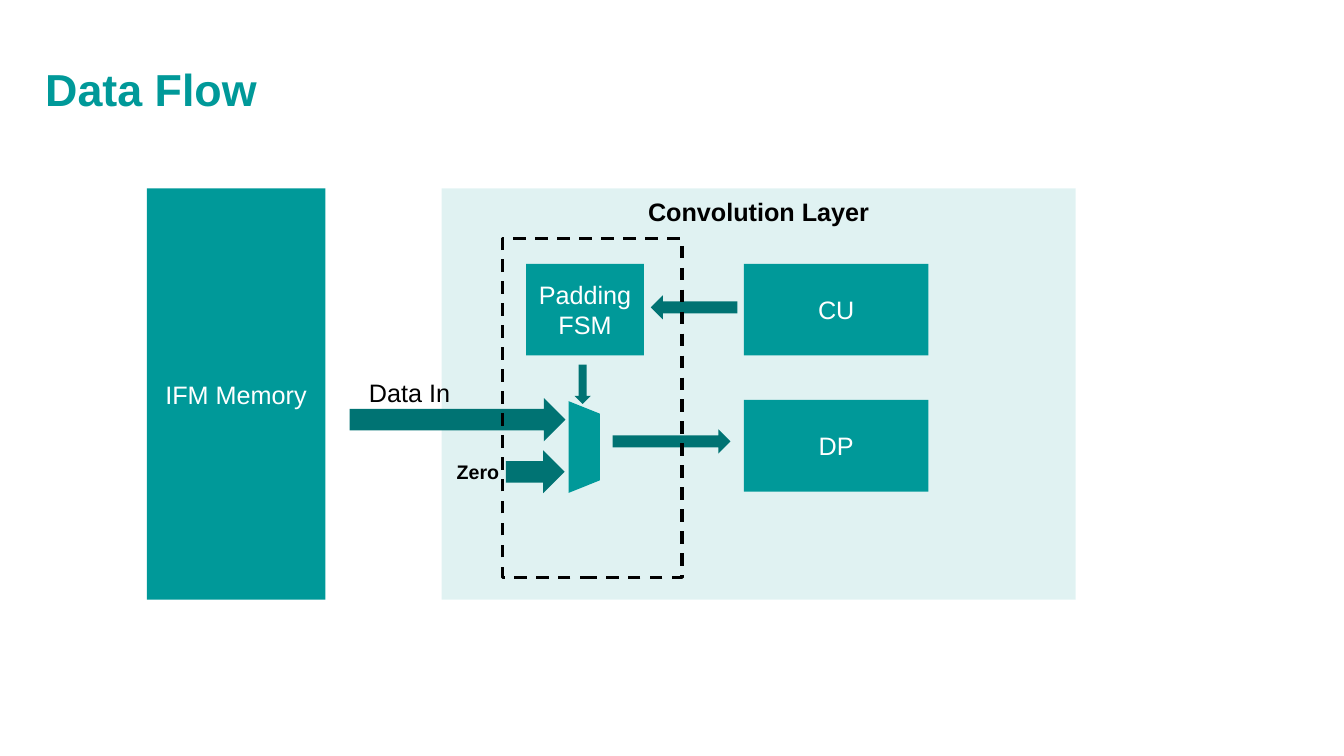
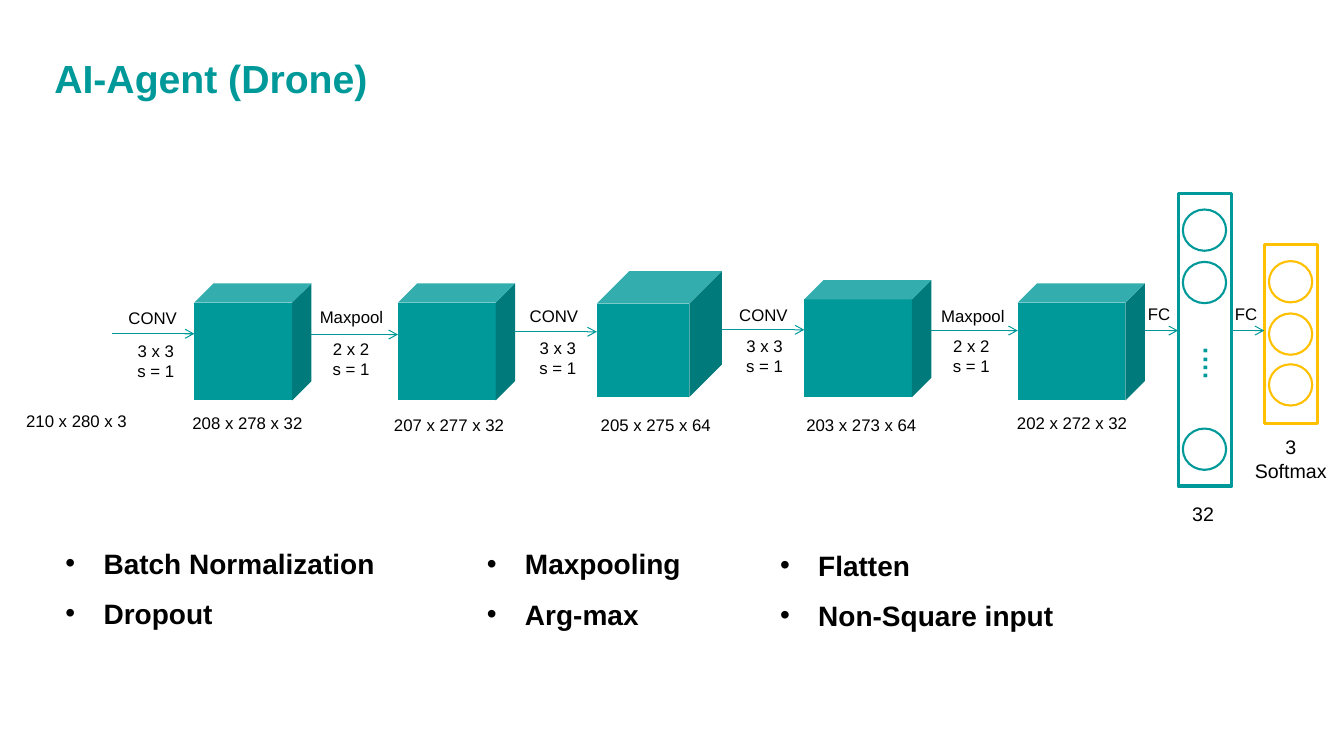
import lxml.etree
import pptx
import pptx.dml.color
import pptx.enum.dml
import pptx.enum.shapes
import pptx.enum.text
import pptx.oxml.ns
import pptx.util
from pptx.util import Cm

SHAPE = pptx.enum.shapes.MSO_SHAPE
ALIGN = pptx.enum.text.PP_ALIGN
ANCHOR = pptx.enum.text.MSO_ANCHOR


def color(value):
    return pptx.dml.color.RGBColor.from_string(value)


def add_element(parent, tag, **attributes):
    element = lxml.etree.SubElement(parent, pptx.oxml.ns.qn(tag))
    for name, value in attributes.items():
        element.set(name, str(value))
    return element


class Deck:
    """Holds the shared style and draws elements on the current slide."""

    font_name = "Arial"
    teal, dark_teal, amber = "009999", "007373", "FFC000"
    black, white = "000000", "FFFFFF"

    def __init__(self):
        self.presentation = pptx.Presentation()
        self.presentation.slide_width = Cm(33.87)
        self.presentation.slide_height = Cm(19.05)
        self.slide = None

    def new_slide(self, title, left, top, size):
        self.slide = self.presentation.slides.add_slide(self.presentation.slide_layouts[6])
        self.text(title, left, top, 27.4, 1.6, size, self.teal, bold=True,
                  align=ALIGN.LEFT, anchor=ANCHOR.BOTTOM, spacing=0.9)

    def set_text(self, shape, text, size, font_color, bold=False, align=ALIGN.CENTER,
                 anchor=ANCHOR.TOP, margins=(0, 0), spacing=None, bullet=False):
        frame = shape.text_frame
        frame.word_wrap = True
        frame.vertical_anchor = anchor
        frame.margin_left = frame.margin_right = Cm(margins[0])
        frame.margin_top = frame.margin_bottom = Cm(margins[1])
        for index, line in enumerate(text.split("\n")):
            paragraph = frame.add_paragraph() if index else frame.paragraphs[0]
            paragraph.text = line
            paragraph.alignment = align
            if spacing:
                paragraph.line_spacing = spacing
            if bullet:
                properties = paragraph._p.get_or_add_pPr()
                properties.set("marL", str(Cm(0.96)))
                properties.set("indent", str(-Cm(0.96)))
                add_element(properties, "a:buFont", typeface=self.font_name)
                add_element(properties, "a:buChar", char="•")
            paragraph.font.name = self.font_name
            paragraph.font.size = pptx.util.Pt(size)
            paragraph.font.bold = bold
            paragraph.font.color.rgb = color(font_color)

    def text(self, text, left, top, width, height, size=12, font_color=black,
             rotation=0, **style):
        box = self.slide.shapes.add_textbox(Cm(left), Cm(top), Cm(width), Cm(height))
        box.rotation = rotation
        self.set_text(box, text, size, font_color, **style)

    def shape(self, kind, left, top, width, height, fill=None, line=None, line_width=2.25,
              rotation=0, adjustment=None, opacity=None, dashed=False):
        shape = self.slide.shapes.add_shape(kind, Cm(left), Cm(top), Cm(width), Cm(height))
        shape.shadow.inherit = False
        shape.rotation = rotation
        if adjustment is not None:
            shape.adjustments[0] = adjustment
        if fill:
            shape.fill.solid()
            shape.fill.fore_color.rgb = color(fill)
        else:
            shape.fill.background()
        if opacity is not None:
            fill_color = shape._element.spPr.find(".//" + pptx.oxml.ns.qn("a:srgbClr"))
            add_element(fill_color, "a:alpha", val=opacity * 1000)
        if line:
            shape.line.color.rgb = color(line)
            shape.line.width = pptx.util.Pt(line_width)
        else:
            shape.line.fill.background()
        if dashed:
            shape.line.dash_style = pptx.enum.dml.MSO_LINE.DASH
        return shape

    def block(self, text, left, top, width, height):
        shape = self.shape(SHAPE.RECTANGLE, left, top, width, height, self.teal)
        self.set_text(shape, text, 18, self.white, anchor=ANCHOR.MIDDLE, margins=(0.3, 0.2))

    def arrow(self, start, end, y):
        connector = self.slide.shapes.add_connector(
            pptx.enum.shapes.MSO_CONNECTOR.STRAIGHT, Cm(start), Cm(y), Cm(end), Cm(y))
        connector.line.color.rgb = color(self.teal)
        connector.line.width = pptx.util.Pt(0.75)
        add_element(connector.line._get_or_add_ln(), "a:tailEnd", type="arrow")
        add_element(connector._element.spPr, "a:effectLst")

    def neurons(self, left, top, height, line, circle_tops):
        self.shape(SHAPE.RECTANGLE, left, top, 1.35, height, line=line)
        for circle_top in circle_tops:
            self.shape(SHAPE.OVAL, left + 0.12, circle_top, 1.09, 1.04, line=line, line_width=1.5)

    def bullets(self, text, left, top, width):
        self.text(text, left, top, width, 2.6, 20, bold=True, align=ALIGN.LEFT,
                  anchor=ANCHOR.BOTTOM, spacing=1.5, bullet=True)


def draw_data_flow(deck):
    deck.new_slide("Data Flow", 1.14, 1.32, 32)
    deck.block("IFM Memory", 3.7, 4.75, 4.5, 10.36)
    layer = deck.shape(SHAPE.RECTANGLE, 11.13, 4.75, 15.98, 10.36, deck.teal, opacity=12)
    deck.set_text(layer, "Convolution Layer", 18, deck.black, bold=True, margins=(0.3, 0.2))
    deck.block("Padding\nFSM", 13.26, 6.65, 2.97, 2.31)
    deck.block("CU", 18.75, 6.65, 4.65, 2.31)
    deck.block("DP", 18.75, 10.08, 4.65, 2.31)
    deck.shape(SHAPE.TRAPEZOID, 13.57, 10.87, 2.31, 0.79, deck.teal, rotation=90, adjustment=0.4)
    for kind, left, top, width, height, rotation in (
            (SHAPE.RIGHT_ARROW, 8.81, 10.03, 5.44, 1.09, 0),
            (SHAPE.RIGHT_ARROW, 12.75, 11.35, 1.48, 1.08, 0),
            (SHAPE.DOWN_ARROW, 14.48, 9.19, 0.41, 0.99, 0),
            (SHAPE.RIGHT_ARROW, 15.44, 10.82, 2.97, 0.61, 0),
            (SHAPE.RIGHT_ARROW, 16.4, 7.44, 2.18, 0.61, 180)):
        deck.shape(kind, left, top, width, height, deck.dark_teal, rotation=rotation)
    deck.text("Data In", 9.3, 9.5, 2.2, 0.76, 18, align=ALIGN.LEFT)
    deck.text("Zero", 11.51, 11.58, 1.47, 0.61, 14, bold=True, align=ALIGN.LEFT)
    deck.shape(SHAPE.RECTANGLE, 12.67, 6.02, 4.52, 8.53, line=deck.black, dashed=True)


def draw_network(deck):
    deck.new_slide("AI-Agent (Drone)", 1.37, 0.97, 28)
    conv_kernel, pool_kernel = "3 x 3\ns = 1", "2 x 2\ns = 1"
    stages = (
        ("CONV", 2.72, 7.75, conv_kernel, 2.95, 8.59, 8.41,
         4.9, 7.14, 2.95, 2.95, 0.165, "208 x 278 x 32", 4.85, 10.39),
        ("Maxpool", 7.73, 7.72, pool_kernel, 7.87, 8.53, 8.43,
         10.03, 7.14, 2.95, 2.95, 0.165, "207 x 277 x 32", 9.93, 10.46),
        ("CONV", 12.83, 7.7, conv_kernel, 13.08, 8.51, 8.36,
         15.04, 6.83, 3.15, 3.18, 0.26, "205 x 275 x 64", 15.14, 10.46),
        ("CONV", 18.11, 7.67, conv_kernel, 18.29, 8.46, 8.31,
         20.27, 7.06, 3.2, 2.95, 0.165, "203 x 273 x 64", 20.32, 10.44),
        ("Maxpool", 23.39, 7.7, pool_kernel, 23.5, 8.46, 8.33,
         25.65, 7.14, 3.2, 2.95, 0.165, "202 x 272 x 32", 25.63, 10.41))
    deck.text("210 x 280 x 3", 0.66, 10.36, 3.18, 0.51, align=ALIGN.LEFT)
    arrow_start = 2.82
    for (operation, operation_left, operation_top, kernel, kernel_left, kernel_top, arrow_y,
         left, top, width, height, depth, size_label, label_left, label_top) in stages:
        deck.text(operation, operation_left, operation_top, 2.26, 0.51)
        deck.text(kernel, kernel_left, kernel_top, 1.96, 1.02)
        deck.shape(SHAPE.CUBE, left, top, width, height, deck.teal, adjustment=depth)
        deck.text(size_label, label_left, label_top, 3.18, 0.51, align=ALIGN.LEFT)
        deck.arrow(arrow_start, left, arrow_y)
        arrow_start = left + width

    deck.neurons(29.69, 4.88, 7.37, deck.teal, (5.28, 6.6, 10.8))
    deck.neurons(31.86, 6.17, 4.5, deck.amber, (6.58, 7.9, 9.18))
    deck.text("….", 29.41, 8.79, 1.52, 0.76, 18, deck.teal, rotation=270, bold=True)
    for label_left, start, end in ((28.93, 28.85, 29.69), (31.12, 31.04, 31.86)):
        deck.text("FC", label_left, 7.66, 0.84, 0.51, align=ALIGN.LEFT)
        deck.arrow(start, end, 8.33)
    deck.text("32", 29.34, 12.65, 1.96, 0.61, 14)
    deck.text("3\nSoftmax", 31.55, 10.97, 1.96, 1.19, 14)

    deck.bullets("Batch Normalization\nDropout", 1.65, 13.28, 10)
    deck.bullets("Maxpooling\nArg-max", 12.27, 13.3, 7)
    deck.bullets("Flatten\nNon-Square input", 19.66, 13.33, 12)


def main():
    deck = Deck()
    draw_data_flow(deck)
    draw_network(deck)
    deck.presentation.save("out.pptx")


if __name__ == "__main__":
    main()
